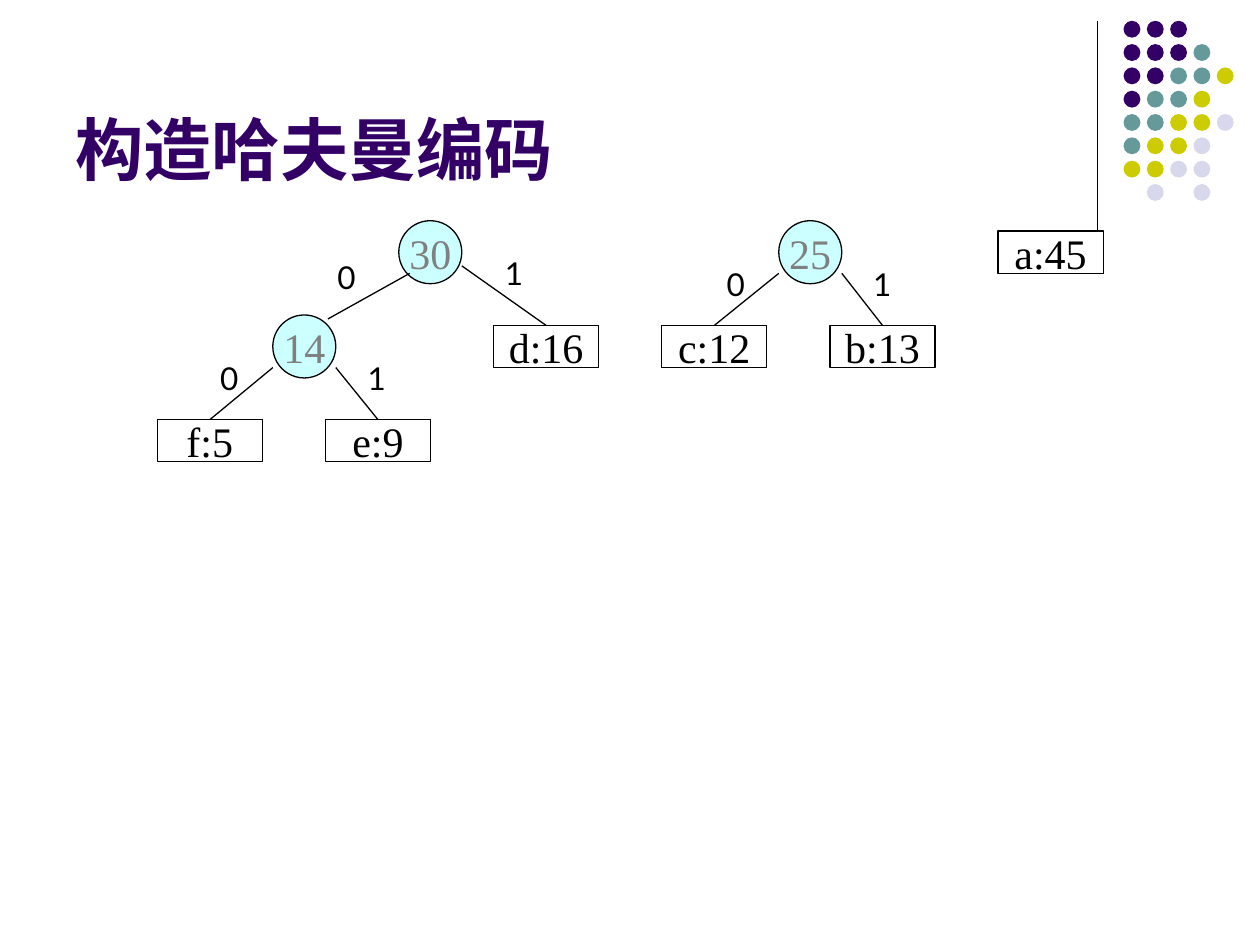
from lxml import etree
from pptx import Presentation
from pptx.dml.color import RGBColor
from pptx.enum.shapes import MSO_CONNECTOR, MSO_SHAPE
from pptx.enum.text import MSO_ANCHOR, MSO_AUTO_SIZE, PP_ALIGN
from pptx.oxml.ns import qn
from pptx.util import Cm, Pt

OVAL, RECTANGLE = MSO_SHAPE.OVAL, MSO_SHAPE.RECTANGLE
STRAIGHT = MSO_CONNECTOR.STRAIGHT
CENTER = PP_ALIGN.CENTER
MIDDLE, BOTTOM = MSO_ANCHOR.MIDDLE, MSO_ANCHOR.BOTTOM
TOP_SIDE = 0

COLORS = {
    "black": "000000",
    "purple": "330066",
    "teal": "669999",
    "olive": "CCCC00",
    "lavender": "D8D8EC",
    "node": "CCFFFF",
    "weight": "808080",
}
TITLE_FONT, NODE_FONT, LABEL_FONT = "Noto Sans CJK SC", "Times New Roman", "Lato"

DOT_COLORS = {"p": "purple", "t": "teal", "o": "olive", "l": "lavender"}
DOT_ROWS = ["ppp", "pppt", "pptto", "ptto", "ttool", "tool", "ooll", ".l.l"]
DOT_LEFT, DOT_TOP, DOT_SIZE, DOT_PITCH = 22.65, 0.42, 0.34, 0.47

LEAF_LEFT, LEAF_PITCH, LEAF_WIDTH, LEAF_HEIGHT = 3.17, 3.39, 2.12, 0.85
LEAF_TOP, LEVEL_HEIGHT = 4.66, 1.9
NODE_SIZE = 1.27

# text, column, level
LEAVES = [("f:5", 0, 2), ("e:9", 1, 2), ("d:16", 2, 1),
          ("c:12", 3, 1), ("b:13", 4, 1), ("a:45", 5, 0)]
# text, left, top
NODES = [("14", 5.5, 6.35), ("25", 15.7, 4.45), ("30", 8.04, 4.45)]
# start point, leaf that the edge reaches, bit, label position
LEAF_EDGES = [
    ((5.5, 7.41), "f:5", "0", (4.19, 7.11)),
    ((6.77, 7.41), "e:9", "1", (7.16, 7.11)),
    ((15.7, 5.51), "c:12", "0", (14.4, 5.21)),
    ((16.97, 5.51), "b:13", "1", (17.35, 5.21)),
    ((9.31, 5.36), "d:16", "1", (9.93, 5)),
]


def rgb(name):
    return RGBColor.from_string(COLORS[name])


def add_run(paragraph, text, font_name, size, color, bold=False):
    run = paragraph.add_run()
    run.text = text
    run.font.name = font_name
    run.font.size = Pt(size)
    run.font.bold = bold
    run.font.color.rgb = rgb(color)
    return run


def add_title(slide, text):
    frame = slide.shapes.add_textbox(Cm(1.27), Cm(0.33), Cm(20.96), Cm(3.6)).text_frame
    frame.word_wrap = True
    frame.vertical_anchor = BOTTOM
    run = add_run(frame.paragraphs[0], text, TITLE_FONT, 39, "purple", bold=True)
    east_asian = etree.SubElement(run.font._element, qn("a:ea"))
    east_asian.set("typeface", TITLE_FONT)


def add_dots(slide):
    shapes = slide.shapes.add_group_shape().shapes
    for row, codes in enumerate(DOT_ROWS):
        for column, code in enumerate(codes):
            if code == ".":
                continue
            dot = shapes.add_shape(
                OVAL, Cm(DOT_LEFT + column * DOT_PITCH),
                Cm(DOT_TOP + row * DOT_PITCH), Cm(DOT_SIZE), Cm(DOT_SIZE))
            dot.shadow.inherit = False
            dot.fill.solid()
            dot.fill.fore_color.rgb = rgb(DOT_COLORS[code])
            dot.line.fill.background()


def add_tree_shape(slide, kind, left, top, width, height, text, color, fill=None):
    """Add an outlined leaf or node with centred text."""
    shape = slide.shapes.add_shape(kind, Cm(left), Cm(top), Cm(width), Cm(height))
    shape.shadow.inherit = False
    if fill:
        shape.fill.solid()
        shape.fill.fore_color.rgb = rgb(fill)
    else:
        shape.fill.background()
    shape.line.color.rgb = rgb("black")
    shape.line.width = Pt(0.75)
    frame = shape.text_frame
    frame.word_wrap = False
    frame.vertical_anchor = MIDDLE
    paragraph = frame.paragraphs[0]
    paragraph.alignment = CENTER
    add_run(paragraph, text, NODE_FONT, 24, color)
    return shape


def add_leaf(slide, text, column, level):
    return add_tree_shape(
        slide, RECTANGLE, LEAF_LEFT + column * LEAF_PITCH,
        LEAF_TOP + level * LEVEL_HEIGHT, LEAF_WIDTH, LEAF_HEIGHT, text, "black")


def add_line(slide, start, end):
    line = slide.shapes.add_connector(STRAIGHT, *(Cm(value) for value in start + end))
    line.line.color.rgb = rgb("black")
    line.line.width = Pt(0.75)
    etree.SubElement(line._element.spPr, qn("a:effectLst"))
    return line


def add_bit(slide, text, position):
    left, top = position
    frame = slide.shapes.add_textbox(Cm(left), Cm(top), Cm(0.81), Cm(1.02)).text_frame
    frame.word_wrap = False
    frame.auto_size = MSO_AUTO_SIZE.SHAPE_TO_FIT_TEXT
    add_run(frame.paragraphs[0], text, LABEL_FONT, 18, "black")


def main():
    presentation = Presentation()
    presentation.slide_width, presentation.slide_height = Cm(25.4), Cm(19.05)
    slide = presentation.slides.add_slide(presentation.slide_layouts[6])

    add_line(slide, (22.12, 0.43), (22.12, 4.66))
    add_dots(slide)
    add_title(slide, "构造哈夫曼编码")

    leaves = {leaf[0]: add_leaf(slide, *leaf) for leaf in LEAVES}
    for text, left, top in NODES:
        add_tree_shape(slide, OVAL, left, top, NODE_SIZE, NODE_SIZE,
                       text, "weight", "node")
    for start, leaf, bit, position in LEAF_EDGES:
        add_line(slide, start, start).end_connect(leaves[leaf], TOP_SIDE)
        add_bit(slide, bit, position)
    add_line(slide, (8.26, 5.51), (6.61, 6.43))
    add_bit(slide, "0", (6.55, 5.08))

    presentation.save("out.pptx")


if __name__ == "__main__":
    main()
